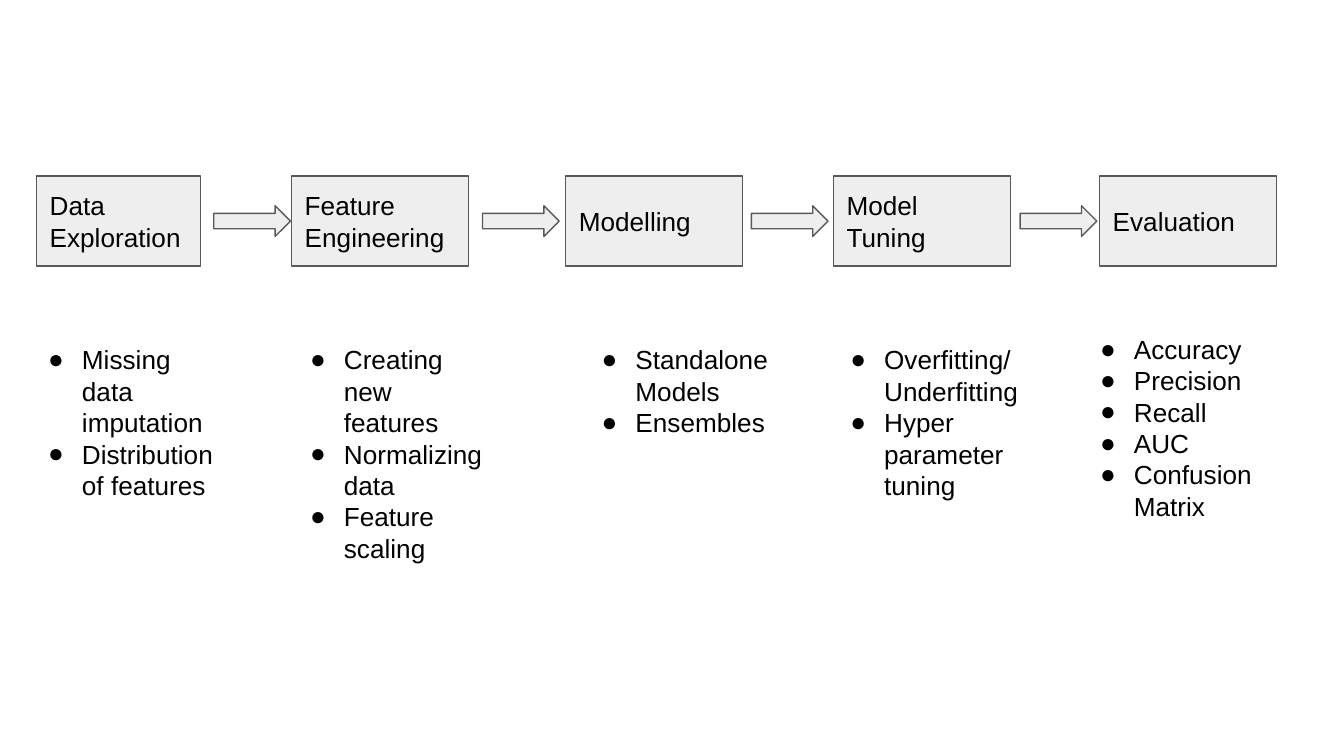
from dataclasses import dataclass

from lxml.etree import SubElement
from pptx import Presentation
from pptx.dml.color import RGBColor
from pptx.enum.shapes import MSO_SHAPE as Preset
from pptx.enum.text import MSO_ANCHOR as Anchor, PP_ALIGN as Align
from pptx.oxml.ns import qn
from pptx.shapes.autoshape import Shape
from pptx.slide import Slide
from pptx.text.text import TextFrame
from pptx.util import Cm, Pt


@dataclass(frozen=True)
class Theme:
    font: str = "Arial"
    size: float = 14
    ink: RGBColor = RGBColor(0x00, 0x00, 0x00)
    fill: RGBColor = RGBColor(0xEE, 0xEE, 0xEE)
    outline: RGBColor = RGBColor(0x59, 0x59, 0x59)
    line_width: float = 0.75
    inset: float = 0.25
    bullet: str = "●"
    indent: float = 1.27
    hanging: float = 0.64


@dataclass(frozen=True)
class Stage:
    """One pipeline step and the tasks below it; lengths in cm."""
    name: str
    left: float
    tasks_left: float
    tasks: tuple[str, ...]
    width: float = 3.35
    tasks_top: float = 6.25
    tasks_width: float = 4.45
    tasks_height: float = 2.21


THEME = Theme()
STAGE_TOP, STAGE_HEIGHT = 3.33, 1.7
ARROW_LEFT, ARROW_PITCH = 4.04, 5.08
ARROW_WIDTH, ARROW_HEIGHT = 1.45, 0.58

STAGES = (
    Stage("Data Exploration", 0.69, 0.03,
          ("Missing data imputation", "Distribution of features"), width=3.1),
    Stage("Feature Engineering", 5.51, 4.98,
          ("Creating new features", "Normalizing data", "Feature scaling")),
    Stage("Modelling", 10.69, 10.49, ("Standalone\nModels", "Ensembles")),
    Stage("Model Tuning", 15.75, 15.19,
          ("Overfitting/Underfitting", "Hyper parameter tuning")),
    Stage("Evaluation", 20.78, 19.91,
          ("Accuracy", "Precision", "Recall", "AUC", "Confusion \nMatrix"),
          tasks_top=6.05, tasks_width=5.08, tasks_height=5.23),
)


def write(frame: TextFrame, paragraphs: tuple[str, ...], bulleted: bool = False) -> None:
    frame.word_wrap = True
    frame.margin_left = frame.margin_right = Cm(THEME.inset)
    frame.margin_top = frame.margin_bottom = Cm(THEME.inset)
    for number, text in enumerate(paragraphs):
        paragraph = frame.add_paragraph() if number else frame.paragraphs[0]
        paragraph.alignment = Align.LEFT
        for row, words in enumerate(text.split("\n")):
            if row:
                paragraph.add_line_break()
            run = paragraph.add_run()
            run.text = words
            run.font.name = THEME.font
            run.font.size = Pt(THEME.size)
            run.font.color.rgb = THEME.ink
        if bulleted:
            properties = paragraph._p.get_or_add_pPr()
            properties.set("marL", str(Cm(THEME.indent)))
            properties.set("indent", str(-Cm(THEME.hanging)))
            SubElement(properties, qn("a:buFont"), typeface=THEME.font)
            SubElement(properties, qn("a:buChar"), char=THEME.bullet)


def add_block(slide: Slide, preset: Preset, left: float, top: float,
              width: float, height: float) -> Shape:
    block = slide.shapes.add_shape(preset, Cm(left), Cm(top), Cm(width), Cm(height))
    block.shadow.inherit = False
    block.fill.solid()
    block.fill.fore_color.rgb = THEME.fill
    block.line.color.rgb = THEME.outline
    block.line.width = Pt(THEME.line_width)
    return block


def add_stage(slide: Slide, stage: Stage) -> None:
    heading = add_block(slide, Preset.RECTANGLE, stage.left, STAGE_TOP,
                        stage.width, STAGE_HEIGHT).text_frame
    heading.vertical_anchor = Anchor.MIDDLE
    write(heading, (stage.name,))
    tasks = slide.shapes.add_textbox(Cm(stage.tasks_left), Cm(stage.tasks_top),
                                     Cm(stage.tasks_width), Cm(stage.tasks_height))
    write(tasks.text_frame, stage.tasks, bulleted=True)


def main() -> None:
    deck = Presentation()
    deck.slide_width, deck.slide_height = Cm(25.4), Cm(14.29)
    slide = deck.slides.add_slide(deck.slide_layouts[6])  # blank: there is no title

    # Pipeline stages with their tasks
    for stage in STAGES:
        add_stage(slide, stage)

    # Evenly spaced arrows between the stages
    arrow_top = STAGE_TOP + (STAGE_HEIGHT - ARROW_HEIGHT) / 2
    for gap in range(len(STAGES) - 1):
        add_block(slide, Preset.RIGHT_ARROW, ARROW_LEFT + gap * ARROW_PITCH,
                  arrow_top, ARROW_WIDTH, ARROW_HEIGHT)

    deck.save("out.pptx")


if __name__ == "__main__":
    main()
